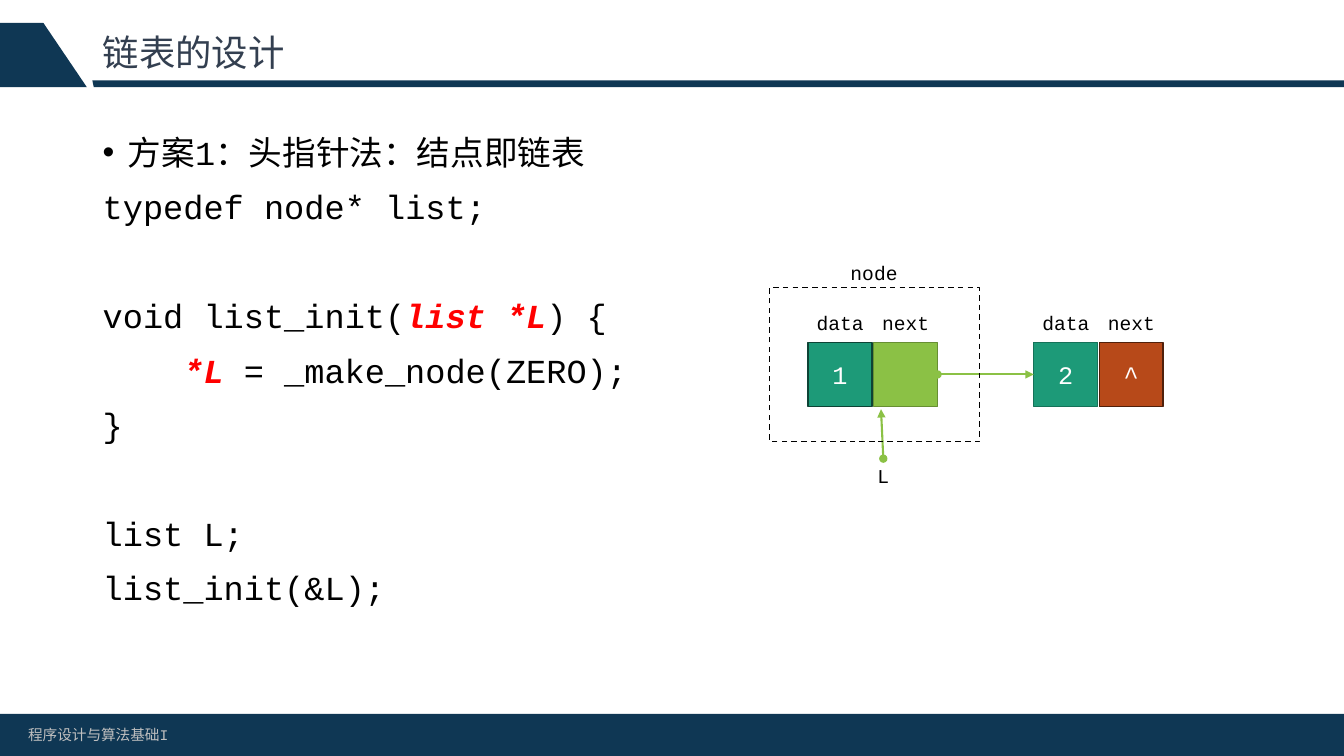
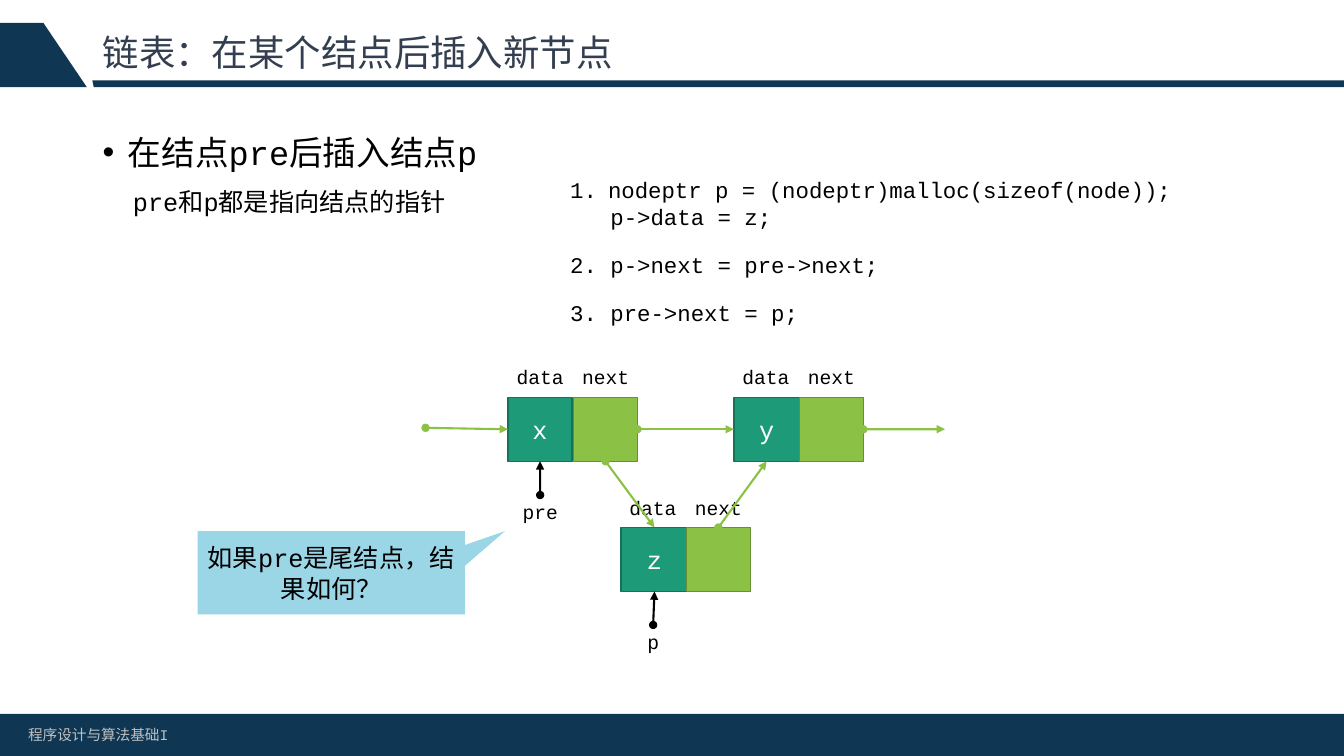
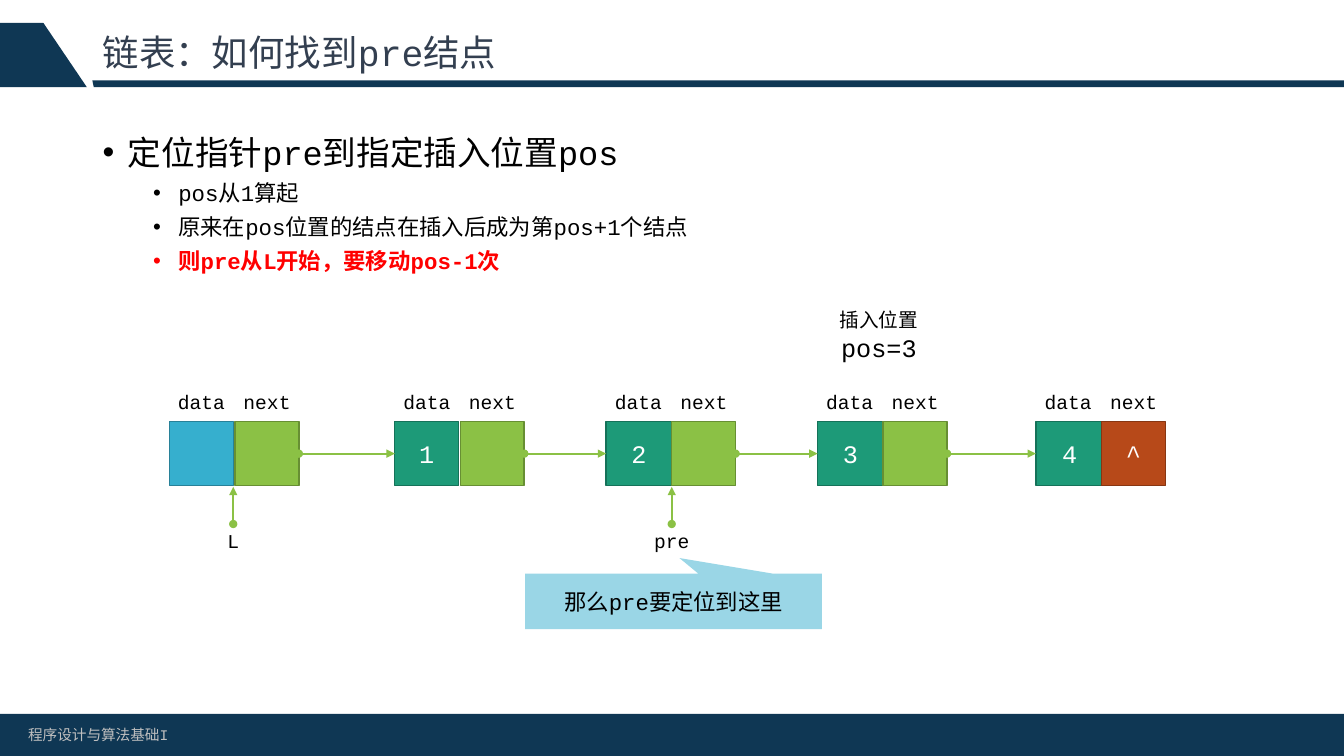
from lxml.etree import SubElement
from pptx import Presentation
from pptx.dml.color import RGBColor
from pptx.enum.dml import MSO_LINE
from pptx.enum.shapes import MSO_CONNECTOR, MSO_SHAPE
from pptx.enum.text import MSO_ANCHOR, MSO_AUTO_SIZE, PP_ALIGN
from pptx.oxml.ns import qn
from pptx.util import Pt

RECT, WEDGE = MSO_SHAPE.RECTANGLE, MSO_SHAPE.RECTANGULAR_CALLOUT
STRAIGHT, DASH = MSO_CONNECTOR.STRAIGHT, MSO_LINE.DASH
MIDDLE, FIXED = MSO_ANCHOR.MIDDLE, MSO_AUTO_SIZE.NONE
LEFT, CENTER, JUSTIFY = PP_ALIGN.LEFT, PP_ALIGN.CENTER, PP_ALIGN.JUSTIFY
UP, WEST, DOWN, EAST = range(4)

FONT = "Courier New"
NAVY = RGBColor(0x0F, 0x37, 0x54)
SLATE = RGBColor(0x33, 0x3F, 0x50)
SILVER = RGBColor(0xBF, 0xBF, 0xBF)
BLACK = RGBColor(0, 0, 0)
WHITE = RGBColor(0xFF, 0xFF, 0xFF)
RED = RGBColor(0xFF, 0, 0)
GREEN = RGBColor(0x8B, 0xC1, 0x45)
BLUE = RGBColor(0x36, 0xAF, 0xCE)
JADE = RGBColor(0x1D, 0x9A, 0x78)
BRICK = RGBColor(0xB7, 0x49, 0x19)

TEAL = (JADE, RGBColor(0x15, 0x72, 0x59))
PINE = (JADE, RGBColor(0x0D, 0x43, 0x35))
LIME = (GREEN, RGBColor(0x67, 0x8F, 0x33))
RUST = (BRICK, RGBColor(0x87, 0x36, 0x12))
UMBER = (BRICK, RGBColor(0x50, 0x20, 0x0B))
SKY = (BLUE, RGBColor(0x28, 0x81, 0x98))

PLAIN = (BLACK, False, False)
ALERT = (RED, True, False)
VITAL = (RED, True, True)

HEAD = (0, 18, -18, "•", 24)
CODE = (0, 0, 0, None, 24)
NOTE = (0, 21.6, 0, None, 18)
ITEM = (1, 54, -18, "•", 16)

CELL, STEP = 45.7, 46.8
TAG_W, TAG_H = 51.1, 24.5


def paint(run, size, hue=BLACK, bold=False, italic=False):
    """Give one run its font, size and colour."""
    font = run.font
    font.name, font.size = FONT, Pt(size)
    font.bold, font.italic = bold, italic
    font.color.rgb = hue


def indent(par, left, hang, tag, **marks):
    """Set a paragraph's indents and its bullet element."""
    props = par._p.get_or_add_pPr()
    props.set("marL", str(Pt(left)))
    props.set("indent", str(Pt(hang)))
    SubElement(props, qn(tag), **marks)


def place(shape, left, top, width, height):
    """Move and size a shape in points."""
    shape.left, shape.top = Pt(left), Pt(top)
    shape.width, shape.height = Pt(width), Pt(height)


def plain(shape, fill=None, edge=None):
    """Remove the shadow and set fill and outline."""
    shape.shadow.inherit = False
    if fill is None:
        shape.fill.background()
    else:
        shape.fill.solid()
        shape.fill.fore_color.rgb = fill
    if edge is None:
        shape.line.fill.background()
    else:
        shape.line.color.rgb = edge
        shape.line.width = Pt(1)
    return shape


def block(slide, kind, left, top, width, height, fill=None, edge=None):
    """Add a preset shape in points."""
    box = map(Pt, (left, top, width, height))
    return plain(slide.shapes.add_shape(kind, *box), fill, edge)


def label(slide, left, top, width, height, lines, size, hue=BLACK, align=LEFT):
    """Add a wrapped text box with one paragraph per line."""
    box = slide.shapes.add_textbox(*map(Pt, (left, top, width, height)))
    frame = box.text_frame
    frame.word_wrap = True
    frame.text = "\n".join(lines)
    for par in frame.paragraphs:
        par.alignment = align
        paint(par.runs[0], size, hue)
    return box


def tag(slide, left, top, text):
    """Add a small centred name."""
    return label(slide, left, top, TAG_W, TAG_H, [text], 14, align=CENTER)


def center(shape, text, size, hue):
    """Write centred text into a shape."""
    frame = shape.text_frame
    frame.word_wrap, frame.vertical_anchor = True, MIDDLE
    frame.text = text
    par = frame.paragraphs[0]
    par.alignment = CENTER
    paint(par.runs[0], size, hue)


def outline(slide, points):
    """Add a closed navy polygon."""
    first, *rest = [(Pt(x), Pt(y)) for x, y in points]
    pen = slide.shapes.build_freeform(*first)
    pen.add_line_segments(rest, close=True)
    return plain(pen.convert_to_shape(), NAVY)


def frame(slide, layout):
    """Put the bands, the footer and the placeholder boxes on the layout."""
    parts = [
        outline(slide, [(66, 57.4), (960, 57.4), (960, 62.2), (67, 62.2)]),
        outline(slide, [(31, 16.4), (62, 62.2), (0, 62.2), (0, 16.4)]),
        block(slide, RECT, 0, 510, 960, 30, NAVY),
        label(slide, 13, 514.8, 311, 21, ["程序设计与算法基础I"], 10.5, SILVER),
    ]
    for number, part in enumerate(parts, 20):
        part._element.nvSpPr.cNvPr.set("id", str(number))
        layout.shapes._spTree.append(part._element)
    title, body = layout.placeholders[0], layout.placeholders[1]
    place(title, 66.2, 16.4, 828, 46)
    place(body, 66.2, 90.7, 828, 391)


def heading(slide, text):
    """Fill the title placeholder."""
    box = slide.shapes.title.text_frame
    box.auto_size, box.vertical_anchor = FIXED, MIDDLE
    box.text = text
    par = box.paragraphs[0]
    par.alignment, par.line_spacing = LEFT, 0.9
    paint(par.runs[0], 26, SLATE)


def listing(slide, rows):
    """Fill the body placeholder with rows of style, gap and parts."""
    box = slide.placeholders[1].text_frame
    box.auto_size = FIXED
    for index, (style, gap, parts) in enumerate(rows):
        level, left, hang, mark, size = style
        par = box.add_paragraph() if index else box.paragraphs[0]
        if mark:
            indent(par, left, hang, "a:buChar", char=mark)
        else:
            indent(par, left, hang, "a:buNone")
        par.level, par.alignment = level, JUSTIFY
        par.space_before = Pt(gap)
        for text, tone in parts:
            run = par.add_run()
            run.text = text
            paint(run, size, *tone)


def node(slide, left, top, text, wide=CELL, data=TEAL, tail=LIME, mark=""):
    """Add a list node with its data and next cells and their names."""
    cells = []
    for index, (name, value, width, tint) in enumerate(
        [("data", text, wide, data), ("next", mark, CELL, tail)]
    ):
        side = left + index * STEP
        cell = block(slide, RECT, side, top, width, CELL, *tint)
        if value:
            center(cell, value, 18, WHITE)
        tag(slide, side - 2.6, top - 26.4, name)
        cells.append(cell)
    return cells


def link(slide, start, stop, hue=GREEN):
    """Draw an arrow between points or (shape, side) joints."""
    line = slide.shapes.add_connector(STRAIGHT, 0, 0, 0, 0)
    if hasattr(start[0], "shape_id"):
        line.begin_connect(*start)
    else:
        line.begin_x, line.begin_y = map(Pt, start)
    if hasattr(stop[0], "shape_id"):
        line.end_connect(*stop)
    else:
        line.end_x, line.end_y = map(Pt, stop)
    line.line.color.rgb, line.line.width = hue, Pt(1.5)
    stroke = line.line._get_or_add_ln()
    SubElement(stroke, qn("a:headEnd"), type="oval")
    SubElement(stroke, qn("a:tailEnd"), type="triangle")
    SubElement(line._element.spPr, qn("a:effectLst"))


def callout(slide, left, top, width, height, text, size, tip):
    """Add a half-clear speech box whose tip is relative to its centre."""
    shape = block(slide, WEDGE, left, top, width, height, BLUE)
    shape.adjustments[0], shape.adjustments[1] = tip
    hue = shape._element.spPr.find(qn("a:solidFill"))[0]
    SubElement(hue, qn("a:alpha"), val="50000")
    center(shape, text, size, BLACK)


def design(slide):
    """Build the slide on the head pointer."""
    heading(slide, "链表的设计")
    listing(slide, [
        (HEAD, 0, [("方案1：头指针法：结点即链表", PLAIN)]),
        (CODE, 10, [("typedef node* list;", PLAIN)]),
        (CODE, 49, [("void list_init(", PLAIN), ("list *L", VITAL), (") {", PLAIN)]),
        (CODE, 10, [("    ", PLAIN), ("*L ", VITAL), ("= _make_node(ZERO);", PLAIN)]),
        (CODE, 10, [("}", PLAIN)]),
        (CODE, 49, [("list L;", PLAIN)]),
        (CODE, 10, [("list_init(&L);", PLAIN)]),
    ])
    last = node(slide, 738.4, 244.6, "2", tail=UMBER, mark="^")
    first = node(slide, 577.2, 244.6, "1", data=PINE)
    link(slide, (first[1], EAST), (last[0], WEST))
    name = tag(slide, 605.4, 327.6, "L")
    link(slide, (name, UP), (629.3, 292.3))
    ring = block(slide, RECT, 549.8, 205.4, 150, 110, edge=BLACK)
    ring.line.dash_style = DASH
    tag(slide, 598.8, 182.7, "node")


def insert(slide):
    """Build the slide on inserting a node."""
    heading(slide, "链表：在某个结点后插入新节点")
    listing(slide, [
        (HEAD, 0, [("在结点pre后插入结点p", PLAIN)]),
        (NOTE, 10, [("pre和p都是指向结点的指针", PLAIN)]),
    ])
    after = node(slide, 524.2, 283.8, "y", 46.8)
    before = node(slide, 362.9, 283.8, "x")
    fresh = node(slide, 443.5, 376.8, "z", 48)
    link(slide, (after[1], EAST), (675, 306.6))
    link(slide, (before[1], EAST), (after[0], WEST))
    link(slide, (fresh[1], UP), (after[0], DOWN))
    link(slide, (before[1], DOWN), (fresh[0], UP))
    link(slide, (304, 305.6), (before[0], WEST))
    steps = [
        (122.4, ["nodeptr p = (nodeptr)malloc(sizeof(node));", "   p->data = z;"]),
        (175.9, ["2. p->next = pre->next;"]),
        (210.2, ["3. pre->next = p;"]),
    ]
    boxes = [
        label(slide, 400.2, top, 494, 19.5 * len(lines) + 7, lines, 16)
        for top, lines in steps
    ]
    start = boxes[0].text_frame.paragraphs[0]
    indent(start, 27, -27, "a:buAutoNum", type="arabicPeriod")
    for text, left, top, cell in [
        ("pre", 360.3, 353.6, before[0]),
        ("p", 441, 446.4, fresh[0]),
    ]:
        name = tag(slide, left, top, text)
        link(slide, (name, UP), (cell, DOWN), BLACK)
    callout(slide, 141.1, 379.4, 191, 59.5, "如果pre是尾结点，结果如何？", 18,
            (0.65, -0.5))


def locate(slide):
    """Build the slide on finding the node before a position."""
    heading(slide, "链表：如何找到pre结点")
    listing(slide, [
        (HEAD, 0, [("定位指针pre到指定插入位置pos", PLAIN)]),
        (ITEM, 5, [("pos从1算起", PLAIN)]),
        (ITEM, 5, [("原来在pos位置的结点在插入后成为第pos+1个结点", PLAIN)]),
        (ITEM, 5, [("则pre从L开始，要移动pos-1次", ALERT)]),
    ])
    top = 301.2
    chain = [
        node(slide, 121, top, "", data=SKY),
        node(slide, 282, top, "1"),
        node(slide, 433, top, "2", 46.8),
        node(slide, 584, top, "3", 46.8),
        node(slide, 740, top, "4", 48, tail=RUST, mark="^"),
    ]
    for left, right in zip(chain, chain[1:]):
        link(slide, (left[1], EAST), (right[0], WEST))
    for text, mid in [("L", 166.6), ("pre", 479.8)]:
        name = tag(slide, mid - TAG_W / 2, 374.3, text)
        link(slide, (name, UP), (mid, 347.8))
    spot = label(slide, 580.3, 216.7, 95, 46, ["插入位置"], 14, align=CENTER)
    more = spot.text_frame.paragraphs[0].add_run()
    more.text = "pos=3"
    paint(more, 18)
    callout(slide, 375.1, 409.7, 212, 39.6, "那么pre要定位到这里", 16, (0.02, -0.78))


def main():
    """Build and save the deck."""
    deck = Presentation()
    deck.slide_width, deck.slide_height = Pt(960), Pt(540)
    layout = deck.slide_layouts[1]
    slides = [deck.slides.add_slide(layout) for _ in range(3)]
    frame(slides[0], layout)
    for build, slide in zip((design, insert, locate), slides):
        build(slide)
    deck.save("out.pptx")


if __name__ == "__main__":
    main()
